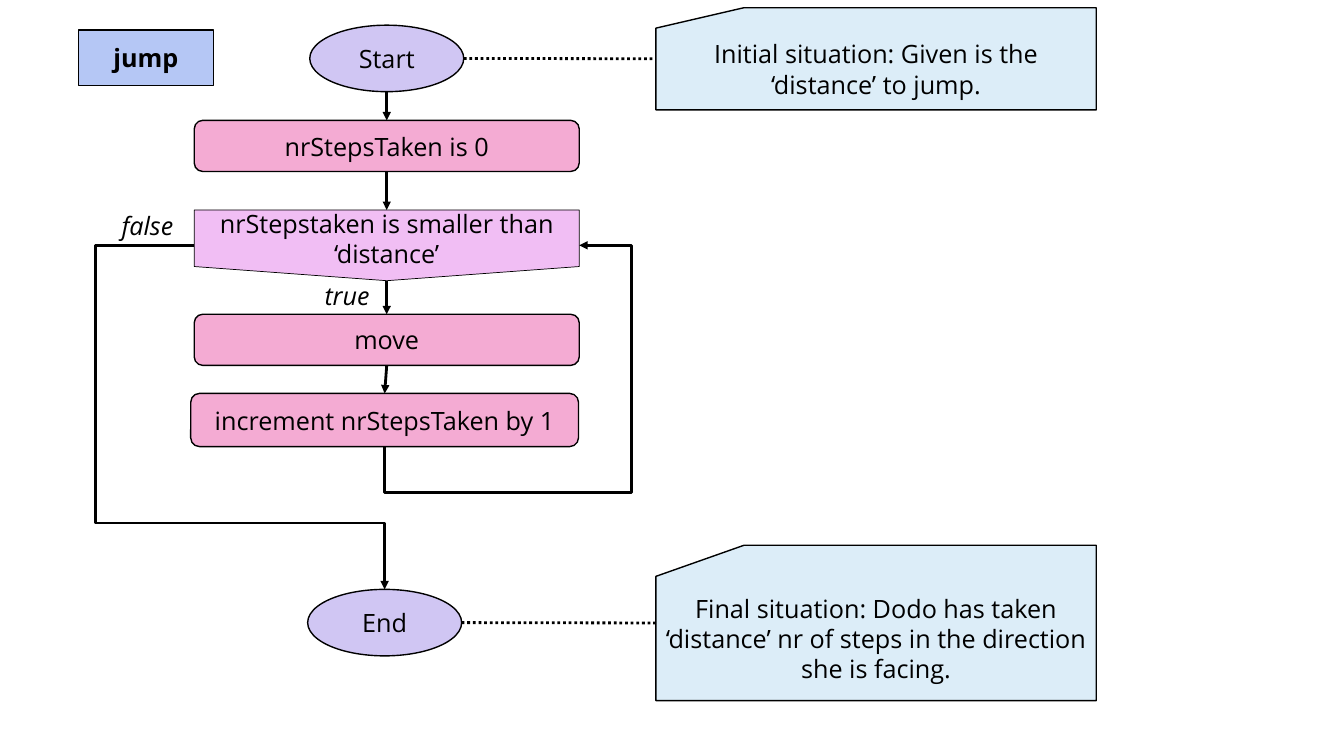
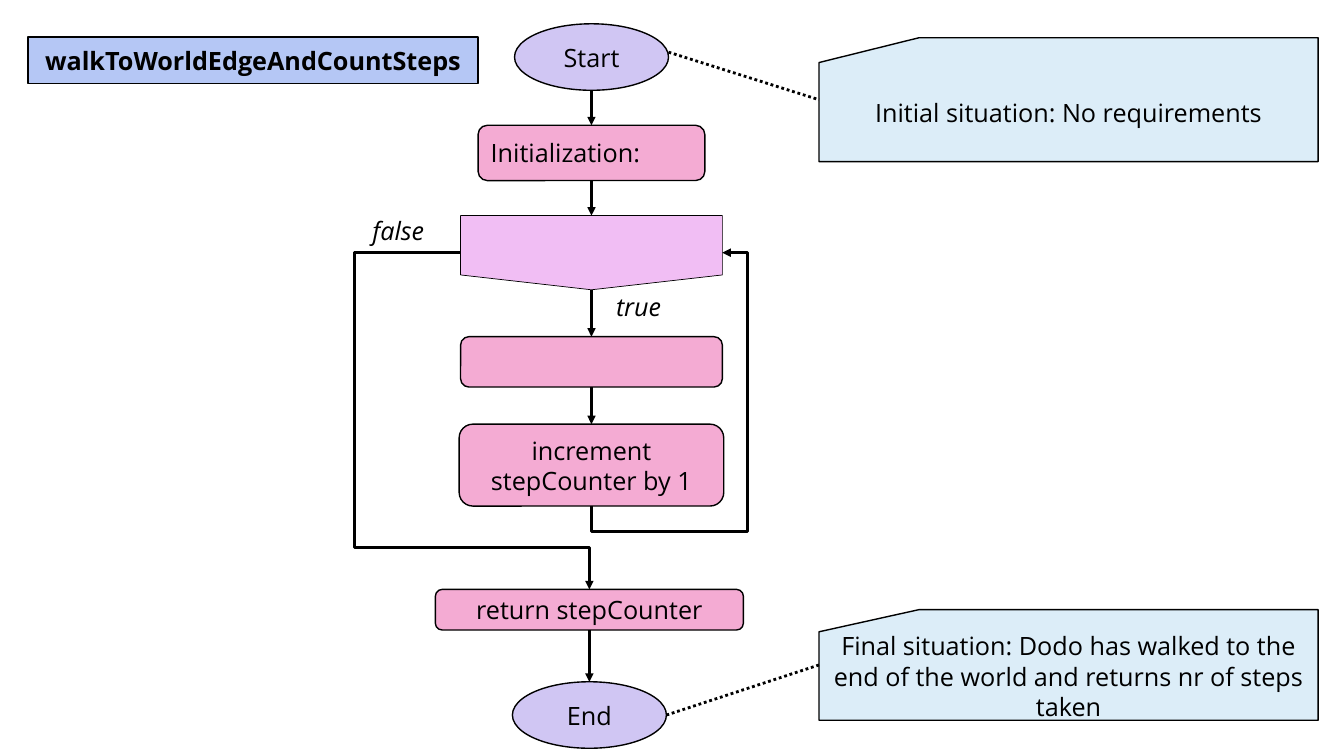
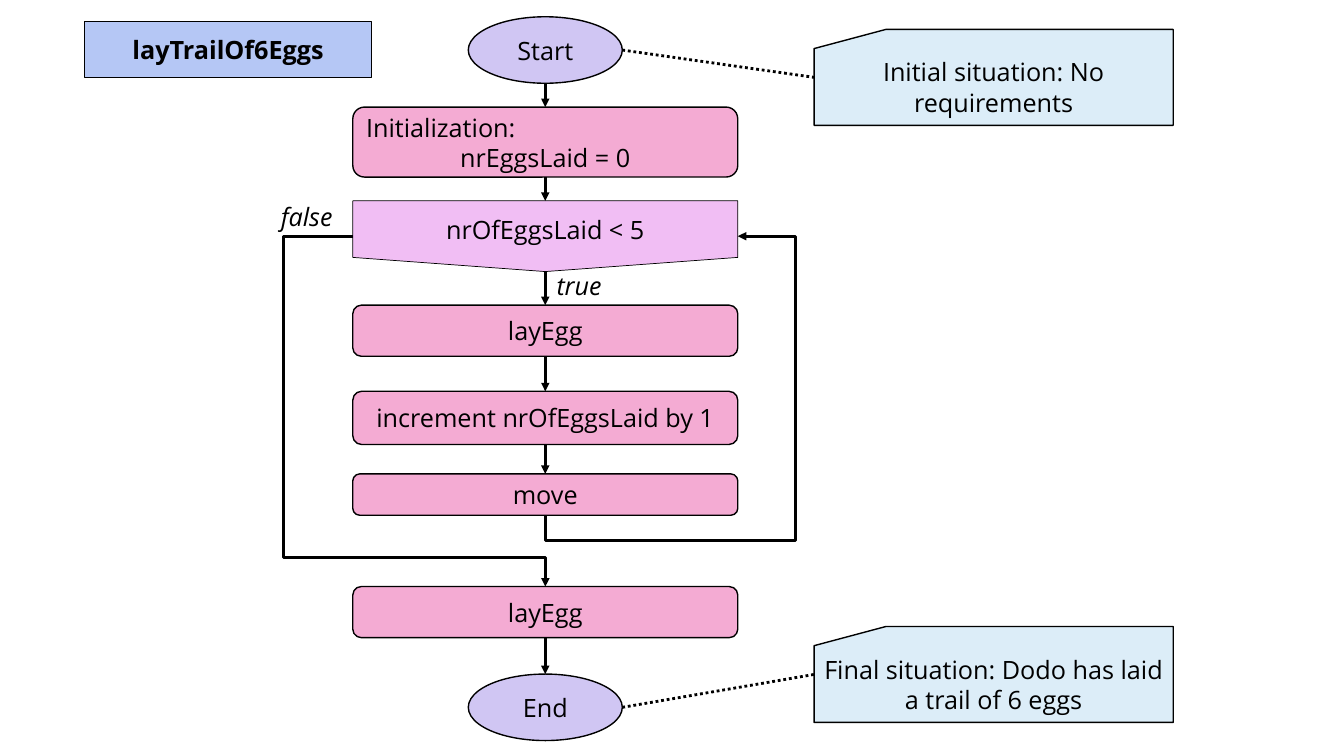
from dataclasses import dataclass

from lxml.etree import SubElement
from pptx import Presentation
from pptx.dml.color import RGBColor
from pptx.enum.dml import MSO_LINE
from pptx.enum.shapes import MSO_CONNECTOR, MSO_SHAPE
from pptx.enum.text import MSO_ANCHOR, MSO_AUTO_SIZE, PP_ALIGN
from pptx.oxml.ns import qn
from pptx.util import Pt

TOP, LEFT, BOTTOM, RIGHT = range(4)
DECISION = 2


@dataclass(frozen=True)
class Theme:
    font: str = "Open Sans"
    size: float = 18
    ink: str = "000000"
    terminal: str = "D0C6F3"
    step: str = "F4ABD3"
    decision: str = "F1BEF4"
    note: str = "DCEDF8"
    title: str = "B5C7F5"
    outline: float = 1
    thin_outline: float = 0.5
    arrow: float = 2
    terminal_width: float = 110
    terminal_height: float = 47.5


THEME = Theme()
STYLES = {
    "terminal": (MSO_SHAPE.OVAL, THEME.terminal, THEME.outline),
    "step": (MSO_SHAPE.ROUNDED_RECTANGLE, THEME.step, THEME.outline),
    "decision": (MSO_SHAPE.FLOWCHART_OFFPAGE_CONNECTOR, THEME.decision, THEME.thin_outline),
    "note": (MSO_SHAPE.FLOWCHART_CARD, THEME.note, THEME.outline),
    "title": (MSO_SHAPE.RECTANGLE, THEME.title, THEME.outline),
}


@dataclass
class Block:
    kind: str
    text: str
    top: float
    height: float = THEME.terminal_height
    width: float = 0
    shift: float = 0


@dataclass
class Flow:
    title: str
    title_box: tuple
    column: tuple
    blocks: list
    exit_index: int
    loop_drop: float
    loop_reach: float
    exit_rise: float
    exit_reach: float
    false_at: tuple
    true_at: tuple
    notes: list
    note_lift: float = 0


def write(shape, text, bold=False, italic=False, align=PP_ALIGN.CENTER):
    shape.text_frame.text = text
    for paragraph in shape.text_frame.paragraphs:
        heading = paragraph.text == "Initialization:"
        paragraph.alignment = PP_ALIGN.LEFT if heading else align
        for run in paragraph.runs:
            run.font.name = THEME.font
            run.font.size = Pt(THEME.size)
            run.font.bold = bold
            run.font.italic = italic
            run.font.color.rgb = RGBColor.from_string(THEME.ink)


def add_box(slide, kind, box, text, bold=False):
    preset, fill, outline = STYLES[kind]
    shape = slide.shapes.add_shape(preset, *map(Pt, box))
    shape.shadow.inherit = False
    shape.fill.solid()
    shape.fill.fore_color.rgb = RGBColor.from_string(fill)
    shape.line.color.rgb = RGBColor.from_string(THEME.ink)
    shape.line.width = Pt(outline)
    shape.text_frame.word_wrap = True
    shape.text_frame.vertical_anchor = MSO_ANCHOR.MIDDLE
    if text:
        write(shape, text, bold)
    return shape


def add_label(slide, text, position, width):
    label = slide.shapes.add_textbox(*map(Pt, (*position, width, 29)))
    label.text_frame.word_wrap = False
    label.text_frame.auto_size = MSO_AUTO_SIZE.SHAPE_TO_FIT_TEXT
    write(label, text, italic=True, align=PP_ALIGN.LEFT)


def add_line(slide, kind, start, end, dotted=False):
    connector = slide.shapes.add_connector(kind, *start, *end)
    connector.line.color.rgb = RGBColor.from_string(THEME.ink)
    connector.line.width = Pt(THEME.arrow)
    properties = connector.element.spPr
    if dotted:
        connector.line.dash_style = MSO_LINE.ROUND_DOT
    else:
        SubElement(properties.find(qn("a:ln")), qn("a:tailEnd"), type="triangle")
    SubElement(properties, qn("a:effectLst"))
    return connector


def side(shape, index):
    x = shape.left + shape.width * {TOP: 0.5, LEFT: 0, BOTTOM: 0.5, RIGHT: 1}[index]
    y = shape.top + shape.height * {TOP: 0, LEFT: 0.5, BOTTOM: 1, RIGHT: 0.5}[index]
    return int(x), int(y)


def add_arrow(slide, upper, lower):
    arrow = add_line(slide, MSO_CONNECTOR.STRAIGHT, side(upper, BOTTOM), side(lower, TOP))
    if upper.auto_shape_type != MSO_SHAPE.OVAL:
        arrow.begin_connect(upper, BOTTOM)
    arrow.end_connect(lower, TOP)


def add_bent_arrow(slide, source, source_side, target, target_side, quarter_turns, bends):
    start, end = side(source, source_side), side(target, target_side)
    arrow = add_line(slide, MSO_CONNECTOR.ELBOW, start, end)
    arrow.begin_connect(source, source_side)
    arrow.end_connect(target, target_side)
    spans = [abs(end[0] - start[0]), abs(end[1] - start[1])]
    if quarter_turns % 2:
        spans.reverse()
    arrow.width, arrow.height = spans
    arrow.left = (start[0] + end[0] - spans[0]) // 2
    arrow.top = (start[1] + end[1] - spans[1]) // 2
    transform = arrow.element.spPr.find(qn("a:xfrm"))
    for name, value in (("rot", quarter_turns * 5400000), ("flipH", 1), ("flipV", 1)):
        transform.set(name, str(value))
    geometry = arrow.element.spPr.find(qn("a:prstGeom"))
    geometry.set("prst", "bentConnector4")
    guides = geometry.find(qn("a:avLst"))
    if guides is None:
        guides = SubElement(geometry, qn("a:avLst"))
    first, second = bends
    ratios = (-Pt(first) / spans[0], 1 + Pt(second) / spans[1])
    for number, ratio in enumerate(ratios, 1):
        SubElement(guides, qn("a:gd"), name=f"adj{number}", fmla=f"val {round(ratio * 100000)}")


def add_column(slide, box, flow):
    left, top, width = box
    shapes = []
    for block in flow.blocks:
        block_width = block.width or (THEME.terminal_width if block.kind == "terminal" else width)
        block_left = left + (width - block_width) / 2 + block.shift
        block_box = (block_left, top + block.top, block_width, block.height)
        shapes.append(add_box(slide, block.kind, block_box, block.text))
    for index, (upper, lower) in enumerate(zip(shapes, shapes[1:]), 1):
        if index != flow.exit_index:
            add_arrow(slide, upper, lower)
    decision = shapes[DECISION]
    add_bent_arrow(slide, shapes[flow.exit_index - 1], BOTTOM, decision, RIGHT, 1,
                   (flow.loop_drop, flow.loop_reach))
    add_bent_arrow(slide, decision, LEFT, shapes[flow.exit_index], TOP, 2,
                   (flow.exit_reach, -flow.exit_rise))
    for text, (x, y), label_width in (("false", flow.false_at, 56), ("true", flow.true_at, 50)):
        add_label(slide, text, (left + x, top + y), label_width)
    return shapes[0], shapes[-1]


def add_note(slide, box, text, terminal, lift=0):
    note = add_box(slide, "note", box, text)
    x, y = side(terminal, RIGHT)
    line = add_line(slide, MSO_CONNECTOR.STRAIGHT, (x, y - Pt(lift)), side(note, LEFT), dotted=True)
    line.end_connect(note, LEFT)


def add_flowchart(slide, flow):
    add_box(slide, "title", flow.title_box, flow.title, bold=True)
    start, end = add_column(slide, flow.column, flow)
    for (box, text), terminal, lift in zip(flow.notes, (start, end), (flow.note_lift, 0)):
        add_note(slide, box, text, terminal, lift)


FLOWS = [
    Flow(
        "jump", (56, 21.5, 96.5, 39.5), (138.75, 18, 275),
        [
            Block("terminal", "Start", 0),
            Block("step", "nrStepsTaken is 0", 68, 36.5),
            Block("decision", "nrStepstaken is smaller than ‘distance’", 132, 50.5),
            Block("step", "move", 206.5, 36.5),
            Block("step", "increment nrStepsTaken by 1", 263, 38, 277, -1.5),
            Block("terminal", "End", 403, shift=-1.5),
        ],
        5, 33, 37.5, 47.5, 70.5, (-59, 129), (86, 178.5),
        [
            ((468.5, 5.5, 314.5, 73), "Initial situation: Given is the ‘distance’ to jump."),
            ((468.5, 389.5, 314.5, 111),
             "Final situation: Dodo has taken ‘distance’ nr of steps in the direction she is facing."),
        ],
    ),
    Flow(
        "walkToWorldEdgeAndCountSteps", (20, 26.5, 321.5, 33), (329, 17, 187),
        [
            Block("terminal", "Start", 0),
            Block("step", "Initialization:", 72.5, 39.5, 162),
            Block("decision", "", 137, 53),
            Block("step", "", 223.5, 36),
            Block("step", "increment stepCounter by 1", 286, 58.5, 189),
            Block("step", "return stepCounter", 404, 29, 220, -1.5),
            Block("terminal", "End", 470, shift=-1.5),
        ],
        5, 18, 18, 30, 75.5, (-70, 133.5), (104, 187.5),
        [
            ((585, 27, 356.5, 88.5), "Initial situation: No requirements"),
            ((585, 435.5, 356.5, 79),
             "Final situation: Dodo has walked to the end of the world and returns nr of steps taken"),
        ],
        3.5,
    ),
    Flow(
        "layTrailOf6Eggs", (60.5, 15.5, 205, 40), (252, 12, 275),
        [
            Block("terminal", "Start", 0),
            Block("step", "Initialization:\nnrEggsLaid = 0", 64.5, 50),
            Block("decision", "nrOfEggsLaid < 5", 131.5, 50.5),
            Block("step", "layEgg", 206, 36.5),
            Block("step", "increment nrOfEggsLaid by 1", 267.5, 38),
            Block("step", "move", 326.5, 29.5),
            Block("step", "layEgg", 407, 36.5),
            Block("terminal", "End", 469.5),
        ],
        6, 18, 41, 20.5, 49.5, (-58.5, 128.5), (138.5, 177.5),
        [
            ((581.5, 21, 256.5, 68.5), "Initial situation: No requirements"),
            ((581.5, 447.5, 256.5, 68.5), "Final situation: Dodo has laid a trail of 6 eggs"),
        ],
    ),
]


def main():
    presentation = Presentation()
    presentation.slide_width, presentation.slide_height = Pt(960), Pt(540)
    for flow in FLOWS:
        add_flowchart(presentation.slides.add_slide(presentation.slide_layouts[6]), flow)
    presentation.save("out.pptx")


if __name__ == "__main__":
    main()
